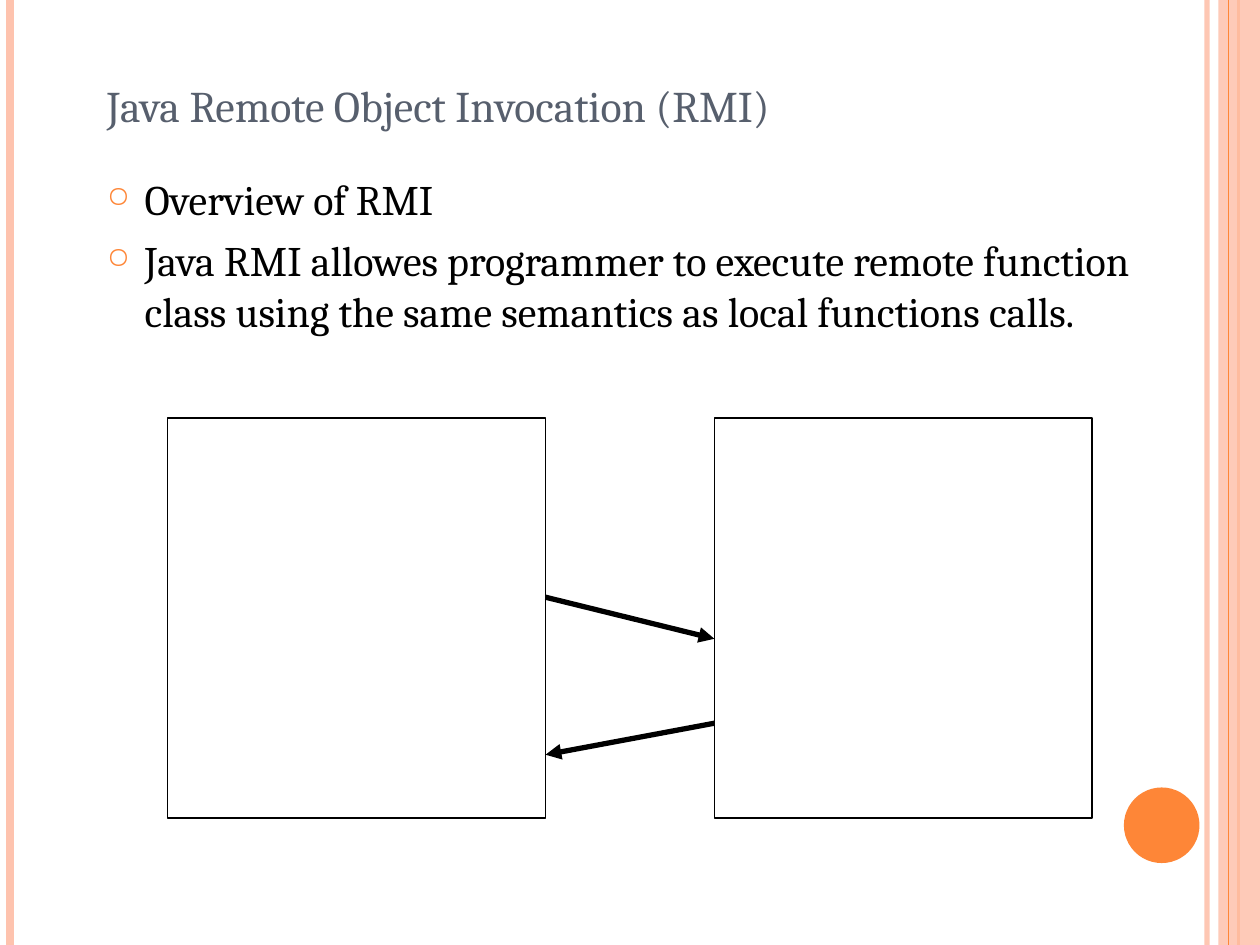
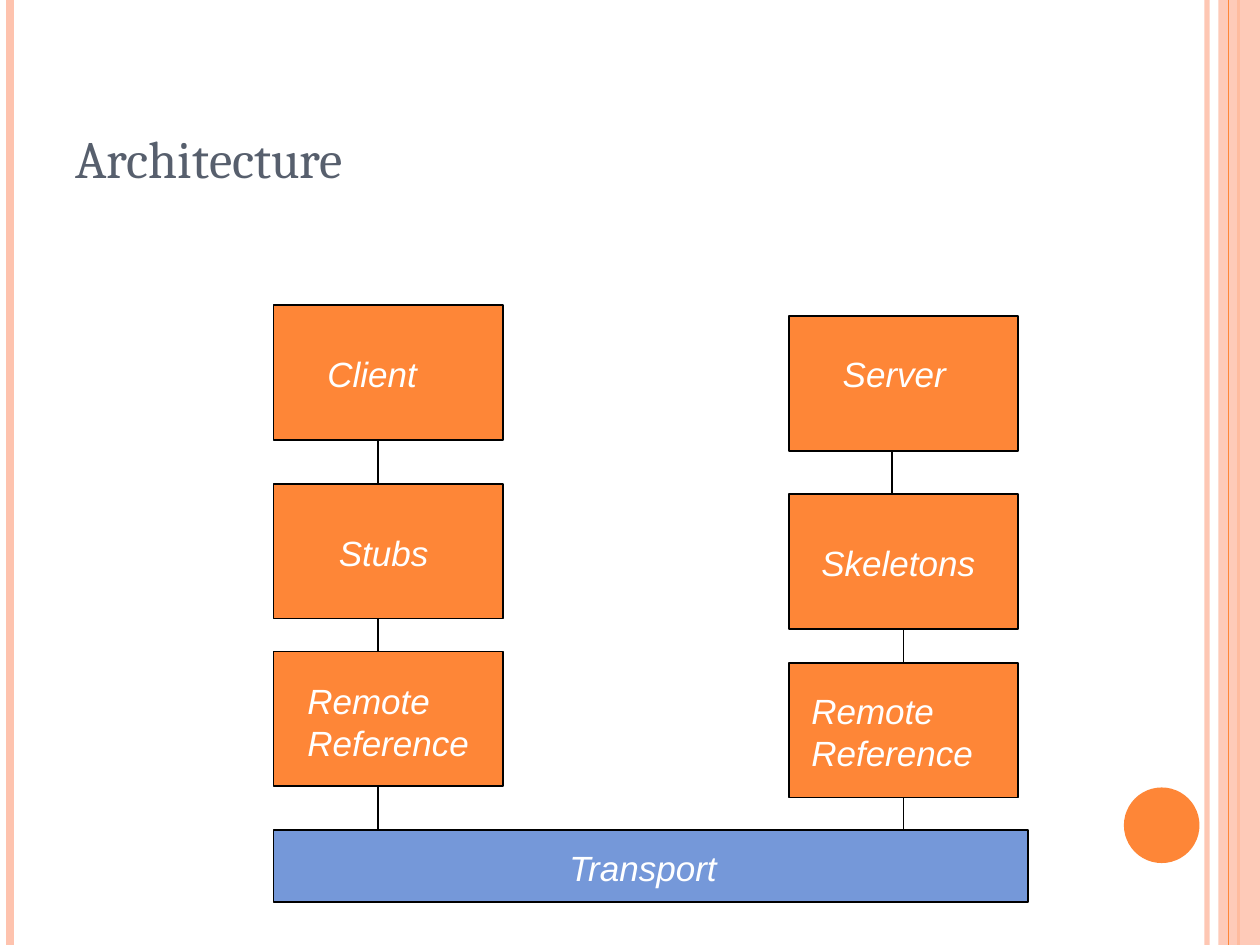
"""Build two slides on Java RMI: an overview and its architecture."""
import pptx
import pptx.util
import pptx.dml.color
import pptx.enum.shapes
import pptx.enum.text
import pptx.oxml
import pptx.oxml.ns

Inches = pptx.util.Inches
Pt = pptx.util.Pt
SHAPE = pptx.enum.shapes.MSO_SHAPE
ANCHOR = pptx.enum.text.MSO_ANCHOR

W, H = 10, 7.5
COLORS = {"accent": "FE8637", "pale": "FEC3AE", "title": "575F6D",
          "blue": "7598D9", "black": "000000", "white": "FFFFFF"}
FONTS = {
    "overview_title": {"name": "Cambria", "size": Pt(25), "color": "title"},
    "title": {"name": "Cambria", "size": Pt(30), "color": "title"},
    "body": {"name": "Cambria", "size": Pt(24), "color": "black"},
    "label": {"name": "Arial", "size": Pt(20), "italic": True, "color": "white"},
}

OVERVIEW = {
    "title": ("Java Remote Object Invocation (RMI)", 0.75, 0.67, 8.5, 0.42),
    "bullets": [
        "Overview of RMI",
        "Java RMI allowes programmer to execute remote function class "
        "using the same semantics as local functions calls.",
    ],
    "body": (0.75, 1.33, 8.5, 5.33),
    "machines": [1.33, 5.67],
    "machine_top": 3.32,
    "machine_size": (3, 3.17),
    "calls": [(4.33, 4.74, 5.67, 5.07), (5.67, 5.74, 4.33, 5.99)],
}

LAYER_SIZE = (1.82, 1.07)
TRANSPORT = (2.17, 6.59, 5.99, 0.57)
ARCHITECTURE = {
    "title": ("Architecture", 0.5, 0.3, 8.17, 1.25),
    "stacks": [
        {"left": 2.17, "tops": [2.42, 3.84, 5.17], "links": [3, 3, 3]},
        {"left": 6.26, "tops": [2.51, 3.92, 5.26], "links": [7.08, 7.17, 7.17]},
    ],
    "labels": [
        ("Client", 2.5, 2.75, 1.08, 0.43),
        ("Server", 6.59, 2.75, 1.16, 0.43),
        ("Stubs", 2.59, 4.17, 0.95, 0.43),
        ("Skeletons", 6.42, 4.25, 1.5, 0.43),
        ("Remote Reference", 2.34, 5.34, 1.58, 0.76),
        ("Remote Reference", 6.34, 5.42, 1.58, 0.76),
        ("Transport", 4.42, 6.67, 1.58, 0.43),
    ],
}


def rgb(color):
    return pptx.dml.color.RGBColor.from_string(COLORS[color])


def element(parent, tag, **attrs):
    el = pptx.oxml.parse_xml(f"<a:{tag} {pptx.oxml.ns.nsdecls('a')}/>")
    for key, value in attrs.items():
        el.set(key, str(value))
    parent.append(el)
    return el


def set_alpha(sp, percent):
    color = sp._element.spPr.find(".//" + pptx.oxml.ns.qn("a:srgbClr"))
    element(color, "alpha", val=percent * 1000)


def add_line(s, x1, y1, x2, y2, color="black", width=1, arrow=False):
    ln = s.shapes.add_connector(pptx.enum.shapes.MSO_CONNECTOR.STRAIGHT,
                                Inches(x1), Inches(y1), Inches(x2), Inches(y2))
    ln.line.color.rgb = rgb(color)
    ln.line.width = Pt(width)
    if arrow:
        element(ln.line._get_or_add_ln(), "tailEnd", type="triangle")
    element(ln._element.spPr, "effectLst")
    return ln


def add_block(s, x, y, w, h, fill=None, line="black", kind=SHAPE.RECTANGLE):
    sp = s.shapes.add_shape(kind, Inches(x), Inches(y), Inches(w), Inches(h))
    sp.shadow.inherit = False
    if fill:
        sp.fill.solid()
        sp.fill.fore_color.rgb = rgb(fill)
    else:
        sp.fill.background()
    if line:
        sp.line.color.rgb = rgb(line)
        sp.line.width = Pt(1)
    else:
        sp.line.fill.background()
    return sp


def add_bullet(p):
    pPr = p._p.get_or_add_pPr()
    indent = Inches(0.3)
    pPr.set("marL", str(indent))
    pPr.set("indent", str(-indent))
    element(element(pPr, "buClr"), "srgbClr", val=COLORS["accent"])
    element(pPr, "buSzPct", val=70000)
    element(pPr, "buChar", char="○")


def add_text(s, lines, x, y, w, h, style, anchor=ANCHOR.TOP, bullets=False):
    tf = s.shapes.add_textbox(Inches(x), Inches(y), Inches(w), Inches(h)).text_frame
    tf.word_wrap = True
    tf.vertical_anchor = anchor
    for i, text in enumerate(lines):
        p = tf.paragraphs[0] if i == 0 else tf.add_paragraph()
        if i:
            p.space_before = Pt(6)
        if bullets:
            add_bullet(p)
        r = p.add_run()
        r.text = text
        for key, value in FONTS[style].items():
            if key == "color":
                r.font.color.rgb = rgb(value)
            else:
                setattr(r.font, key, value)


def add_slide(prs, title, style):
    s = prs.slides.add_slide(prs.slide_layouts[6])
    set_alpha(add_line(s, 9.58, 0, 9.58, H, "pale", 3), 93)
    add_line(s, 0.08, 0, 0.08, H, "pale", 4.5)
    add_line(s, 9.83, 0, 9.83, H, "accent", 1.5)
    set_alpha(add_block(s, 9.67, 0, 0.33, H, "pale", None), 87)
    add_line(s, 9.75, 0, 9.75, H, "accent", 0.75)
    add_block(s, 8.92, 6.25, 0.6, 0.6, "accent", None, SHAPE.OVAL)
    text, *place = title
    add_text(s, [text], *place, style, ANCHOR.BOTTOM)
    return s


def build_overview(prs):
    s = add_slide(prs, OVERVIEW["title"], "overview_title")
    add_text(s, OVERVIEW["bullets"], *OVERVIEW["body"], "body", bullets=True)
    for left in OVERVIEW["machines"]:
        add_block(s, left, OVERVIEW["machine_top"], *OVERVIEW["machine_size"])
    for call in OVERVIEW["calls"]:
        add_line(s, *call, width=3, arrow=True)


def build_architecture(prs):
    s = add_slide(prs, ARCHITECTURE["title"], "title")
    add_block(s, *TRANSPORT, "blue")
    for stack in ARCHITECTURE["stacks"]:
        tops = stack["tops"]
        for top, below, x in zip(tops, tops[1:] + [TRANSPORT[1]], stack["links"]):
            add_block(s, stack["left"], top, *LAYER_SIZE, "accent")
            add_line(s, x, top + LAYER_SIZE[1], x, below)
    for text, *place in ARCHITECTURE["labels"]:
        add_text(s, [text], *place, "label")


def main():
    prs = pptx.Presentation()
    prs.slide_width, prs.slide_height = Inches(W), Inches(H)
    build_overview(prs)
    build_architecture(prs)
    prs.save("out.pptx")


if __name__ == "__main__":
    main()
